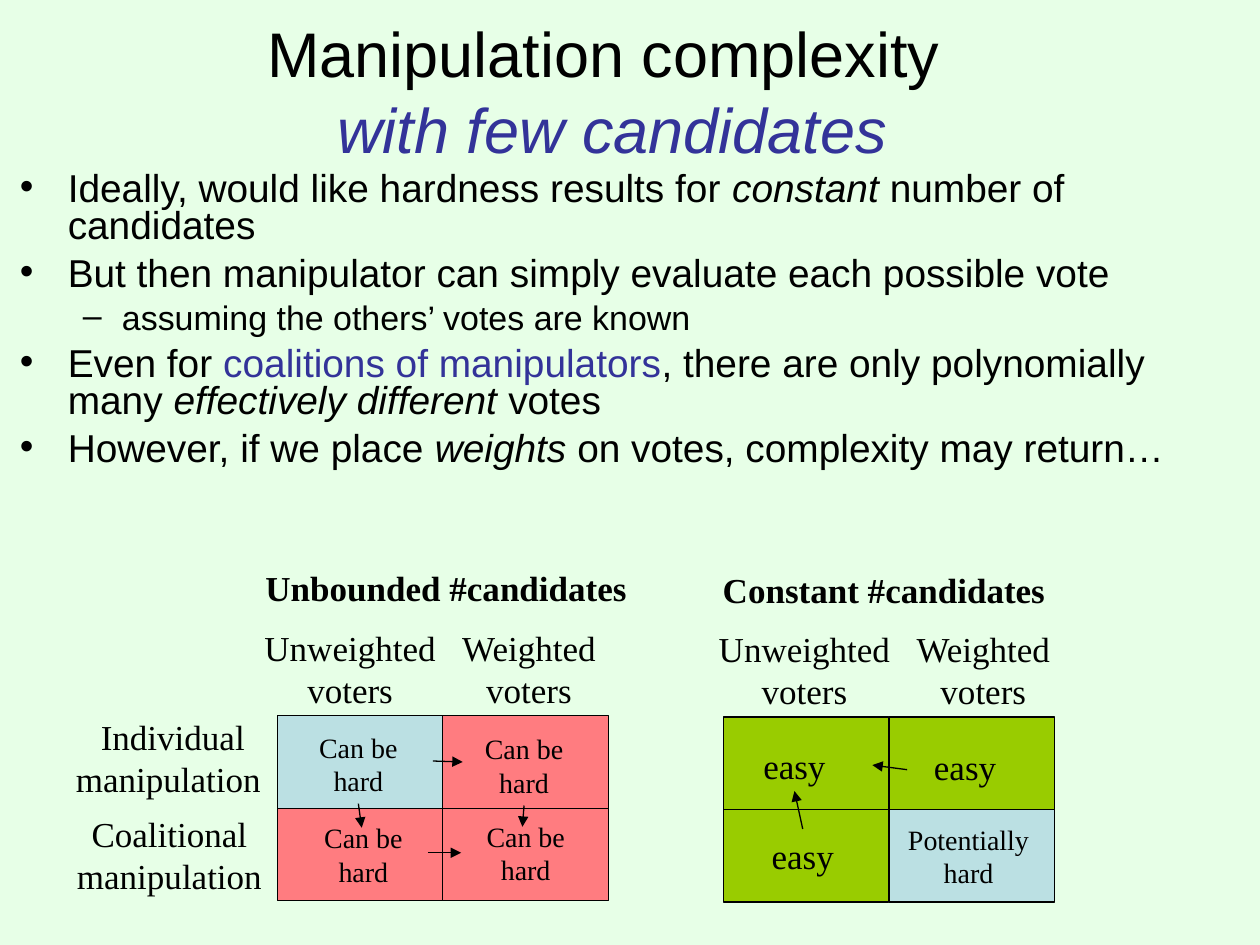
"""Build the slide on manipulation complexity with few candidates."""
from dataclasses import dataclass
from typing import NamedTuple

from lxml.etree import SubElement
from pptx import Presentation
from pptx.dml.color import RGBColor
from pptx.enum.shapes import MSO_CONNECTOR, MSO_SHAPE
from pptx.enum.text import MSO_ANCHOR, MSO_AUTO_SIZE, PP_ALIGN
from pptx.oxml.ns import qn
from pptx.util import Inches, Pt


@dataclass(frozen=True)
class Theme:
    page: str = "E7FFE7"
    ink: str = "000000"
    accent: str = "333399"
    hard: str = "FF7C80"
    open: str = "BBE0E3"
    easy: str = "99CC00"
    sans: str = "Arial"
    serif: str = "Times New Roman"
    title: float = 36
    body: float = 22.2
    sub: float = 19.4
    label: float = 20
    small: float = 16
    line: float = 0.75


THEME = Theme()
PAGE_WIDTH, PAGE_HEIGHT = 10, 7.5
COLUMN, ROW = 1.315, 0.735


class Span(NamedTuple):
    text: str
    italic: bool = False
    color: str = THEME.ink
    bold: bool = False


class Level(NamedTuple):
    number: int
    mark: str
    size: float
    margin: float
    hanging: float
    before: float


class Label(NamedTuple):
    """Text centred on a column and row of a matrix, with a width in columns."""
    text: str
    column: float
    row: float
    width: float
    size: float = THEME.label
    bold: bool = False


class Arrow(NamedTuple):
    start: tuple[float, float]
    end: tuple[float, float]


class Matrix(NamedTuple):
    left: float
    top: float
    fills: tuple[tuple[str, str], tuple[str, str]]
    labels: list[Label]
    arrows: list[Arrow]

    def point(self, column: float, row: float) -> tuple[float, float]:
        return self.left + column * COLUMN, self.top + row * ROW


POINT = Level(0, "•", THEME.body, 0.38, 0.38, 6)
DETAIL = Level(1, "–", THEME.sub, 0.81, 0.31, 5.2)

BULLETS = [
    (POINT, [Span("Ideally, would like hardness results for "),
             Span("constant ", italic=True), Span("number of candidates")]),
    (POINT, [Span("But then manipulator can simply evaluate each possible vote")]),
    (DETAIL, [Span("assuming the others’ votes are known")]),
    (POINT, [Span("Even for "), Span("coalitions of manipulators", color=THEME.accent),
             Span(", there are only polynomially many "),
             Span("effectively different", italic=True), Span(" votes")]),
    (POINT, [Span("However, if we place "), Span("weights", italic=True),
             Span(" on votes, complexity may return…")]),
]


def can_be_hard(column: float, row: float) -> Label:
    return Label("Can be\nhard", column, row, 0.66, THEME.small)


def easy(column: float, row: float) -> Label:
    return Label("easy", column, row, 0.56)


def headings(title: str, centre: float, width: float, shift: float) -> list[Label]:
    return [Label(title, centre, -1.38, width, bold=True),
            Label("Unweighted\nvoters", 0.44 + shift, -0.51, 1.22),
            Label("Weighted\nvoters", 1.52 + shift, -0.51, 1)]


MATRICES = [
    Matrix(2.2, 5.68, ((THEME.open, THEME.hard), (THEME.hard, THEME.hard)),
           headings("Unbounded #candidates", 1.02, 2.38, 0) + [
               Label("Individual\nmanipulation ", -0.63, 0.45, 1.36),
               Label("Coalitional\nmanipulation", -0.65, 1.5, 1.31),
               can_be_hard(0.49, 0.52), can_be_hard(1.49, 0.54),
               can_be_hard(0.52, 1.5), can_be_hard(1.5, 1.48)],
           [Arrow((0.94, 0.49), (1.12, 0.5)), Arrow((0.91, 1.48), (1.11, 1.48)),
            Arrow((0.49, 0.95), (0.51, 1.21)), Arrow((1.49, 0.97), (1.48, 1.2))]),
    Matrix(5.74, 5.69, ((THEME.easy, THEME.easy), (THEME.easy, THEME.open)),
           headings("Constant #candidates", 0.97, 2.15, 0.05) + [
               easy(0.43, 0.52), easy(1.46, 0.54), easy(0.48, 1.5),
               Label("Potentially\nhard", 1.48, 1.5, 0.92, THEME.small)],
           [Arrow((0.48, 1.21), (0.43, 0.8)), Arrow((1.11, 0.57), (0.9, 0.52))]),
]


def add_span(para, span: Span, face: str, size: float) -> None:
    run = para.add_run()
    run.text = span.text
    font = run.font
    font.name, font.size = face, Pt(size)
    font.bold, font.italic = span.bold, span.italic
    font.color.rgb = RGBColor.from_string(span.color)


def add_box(page, left: float, top: float, width: float, height: float):
    box = page.shapes.add_textbox(Inches(left), Inches(top), Inches(width), Inches(height))
    box.text_frame.word_wrap = True
    return box.text_frame


def add_title(page) -> None:
    frame = add_box(page, 0.016 * PAGE_WIDTH, 0.044 * PAGE_HEIGHT,
                    0.94 * PAGE_WIDTH, 0.103 * PAGE_HEIGHT)
    frame.vertical_anchor = MSO_ANCHOR.MIDDLE
    para = frame.paragraphs[0]
    para.alignment = PP_ALIGN.CENTER
    add_span(para, Span("Manipulation complexity "), THEME.sans, THEME.title)
    para.add_line_break()
    add_span(para, Span("with few candidates", True, THEME.accent), THEME.sans, THEME.title)


def add_bullets(page) -> None:
    frame = add_box(page, 0.006 * PAGE_WIDTH, 0.176 * PAGE_HEIGHT,
                    0.987 * PAGE_WIDTH, 0.384 * PAGE_HEIGHT)
    for index, (level, spans) in enumerate(BULLETS):
        para = frame.add_paragraph() if index else frame.paragraphs[0]
        para.level, para.line_spacing = level.number, 0.8
        para.space_before = Pt(level.before)
        properties = para._p.get_or_add_pPr()
        properties.set("marL", str(Inches(level.margin)))
        properties.set("indent", str(-Inches(level.hanging)))
        color = SubElement(properties, qn("a:buClr"))
        SubElement(color, qn("a:srgbClr"), val=THEME.ink)
        SubElement(properties, qn("a:buFont"), typeface=THEME.sans)
        SubElement(properties, qn("a:buChar"), char=level.mark)
        for span in spans:
            add_span(para, span, THEME.sans, level.size)


def add_cell(page, matrix: Matrix, column: int, row: int) -> None:
    left, top = matrix.point(column, row)
    cell = page.shapes.add_shape(MSO_SHAPE.RECTANGLE, Inches(left), Inches(top),
                                 Inches(COLUMN), Inches(ROW))
    cell.shadow.inherit = False
    cell.fill.solid()
    cell.fill.fore_color.rgb = RGBColor.from_string(matrix.fills[row][column])
    cell.line.color.rgb = RGBColor.from_string(THEME.ink)
    cell.line.width = Pt(THEME.line)


def add_label(page, matrix: Matrix, label: Label) -> None:
    lines = label.text.split("\n")
    width, height = label.width * COLUMN, len(lines) * label.size / 60 + 0.1
    x, y = matrix.point(label.column, label.row)
    frame = add_box(page, x - width / 2, y - height / 2, width, height)
    frame.word_wrap = False
    frame.auto_size = MSO_AUTO_SIZE.SHAPE_TO_FIT_TEXT
    for index, line in enumerate(lines):
        para = frame.add_paragraph() if index else frame.paragraphs[0]
        para.alignment = PP_ALIGN.CENTER
        add_span(para, Span(line, bold=label.bold), THEME.serif, label.size)


def add_arrow(page, matrix: Matrix, arrow: Arrow) -> None:
    ends = [Inches(value) for end in arrow for value in matrix.point(*end)]
    connector = page.shapes.add_connector(MSO_CONNECTOR.STRAIGHT, *ends)
    connector.line.color.rgb = RGBColor.from_string(THEME.ink)
    connector.line.width = Pt(THEME.line)
    SubElement(connector.line._get_or_add_ln(), qn("a:tailEnd"), type="triangle")
    SubElement(connector._element.spPr, qn("a:effectLst"))


def main() -> None:
    deck = Presentation()
    deck.slide_width, deck.slide_height = Inches(PAGE_WIDTH), Inches(PAGE_HEIGHT)
    page = deck.slides.add_slide(deck.slide_layouts[6])
    page.background.fill.solid()
    page.background.fill.fore_color.rgb = RGBColor.from_string(THEME.page)
    add_title(page)
    add_bullets(page)
    for matrix in MATRICES:
        for row, column in ((0, 0), (1, 0), (1, 1), (0, 1)):
            add_cell(page, matrix, column, row)
        for arrow in matrix.arrows:
            add_arrow(page, matrix, arrow)
        for label in matrix.labels:
            add_label(page, matrix, label)
    deck.save("out.pptx")


if __name__ == "__main__":
    main()
